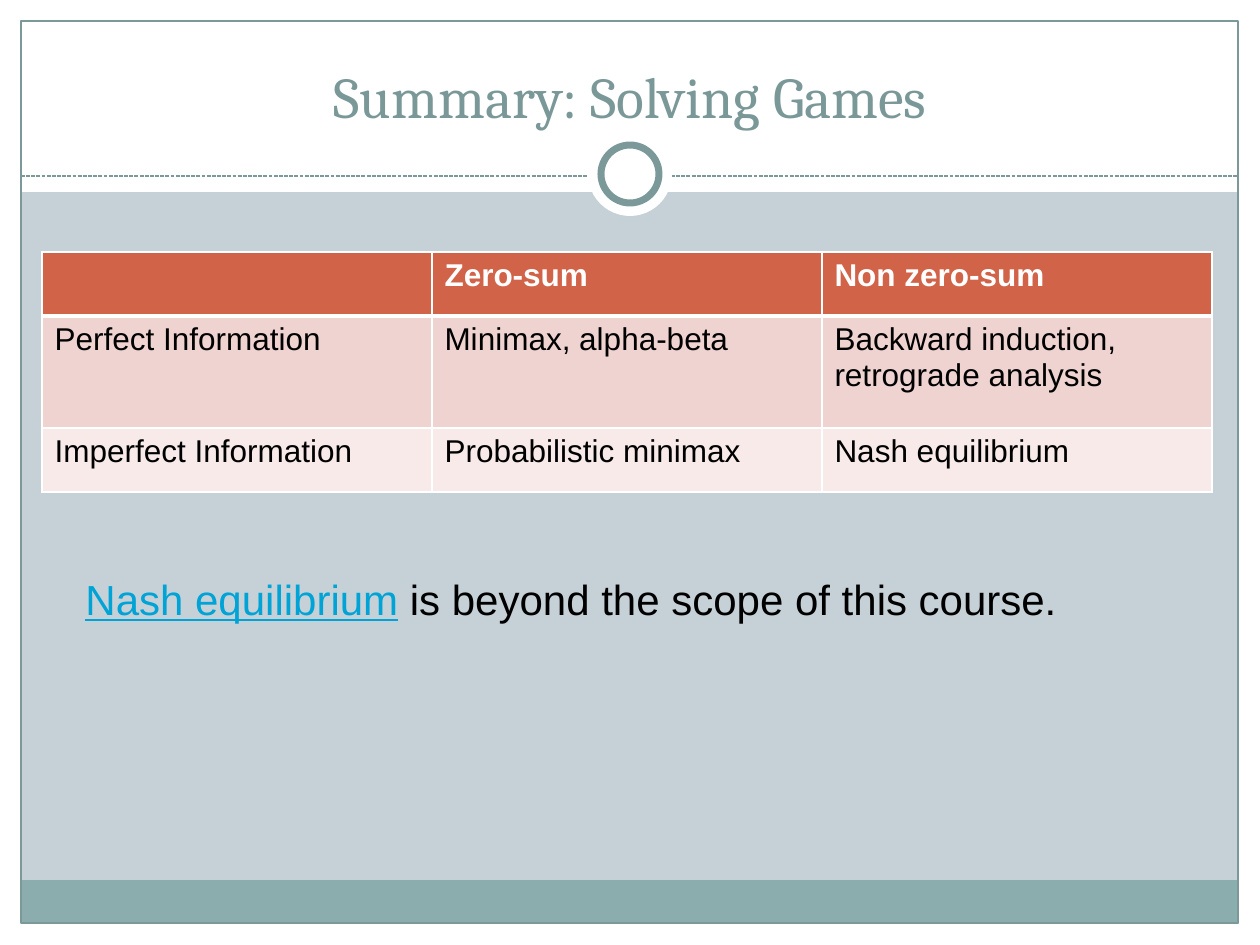
from dataclasses import dataclass

from lxml import etree
from pptx import Presentation
from pptx.dml.color import RGBColor
from pptx.enum.dml import MSO_LINE
from pptx.enum.shapes import MSO_CONNECTOR, MSO_SHAPE
from pptx.enum.text import MSO_ANCHOR, PP_ALIGN
from pptx.oxml.ns import qn
from pptx.util import Emu, Pt

RECT, OVAL = MSO_SHAPE.RECTANGLE, MSO_SHAPE.OVAL
STRAIGHT, DASH = MSO_CONNECTOR.STRAIGHT, MSO_LINE.SQUARE_DOT
TOP, BOTTOM = MSO_ANCHOR.TOP, MSO_ANCHOR.BOTTOM
LEFT, CENTER = PP_ALIGN.LEFT, PP_ALIGN.CENTER
SCALE = 914400 / 126  # EMU in one px
WIDE, HIGH = 1260, 945

COLORS = {
    "back": "C5D1D7", "white": "FFFFFF", "black": "000000",
    "foot": "8CADAE", "edge": "7C999A", "title": "7B9899",
    "head": "D16349", "odd": "EED3D0", "even": "F7EAE9", "link": "00A3D6",
}


@dataclass
class Part:
    left: int
    top: int
    width: int
    height: int
    fill: str = ""
    line: str = ""
    weight: float = 0.75
    kind: int = RECT


@dataclass
class Row:
    height: int
    fill: str
    cells: tuple[str, ...]


PARTS = [
    # White margins
    Part(0, 924, WIDE, 21, "white"),
    Part(0, 0, WIDE, 192, "white"),
    Part(0, 0, 21, HIGH, "white"),
    Part(1239, 0, 21, HIGH, "white"),
    # Footer band and frame
    Part(21, 880, 1217, 43, "foot"),
    Part(21, 21, 1217, 902, line="edge"),
]
RINGS = [
    Part(588, 132, 84, 84, "white", kind=OVAL),
    Part(601, 145, 58, 58, "white", "edge", 4, OVAL),
]
ROWS = [
    Row(64, "head", ("", "Zero-sum", "Non zero-sum")),
    Row(112, "odd", ("Perfect Information", "Minimax, alpha-beta",
                     "Backward induction, retrograde analysis")),
    Row(64, "even", ("Imperfect Information", "Probabilistic minimax",
                     "Nash equilibrium")),
]


def px(n: int) -> Emu:
    return Emu(round(n * SCALE))


def rgb(name: str) -> RGBColor:
    return RGBColor.from_string(COLORS[name])


def write(frame, *texts: str, size: float, colors: tuple[str, ...],
          face: str = "Arial", bold: bool = False, under: int = 0,
          align=LEFT, anchor=TOP) -> None:
    """Write one paragraph; the first `under` runs are underlined."""
    frame.word_wrap = True
    frame.vertical_anchor = anchor
    para = frame.paragraphs[0]
    para.alignment = align
    para.font.size = Pt(size)
    for i, (text, color) in enumerate(zip(texts, colors)):
        if not text:
            continue
        run = para.add_run()
        run.text = text
        font = run.font
        font.name, font.size, font.bold = face, Pt(size), bold
        font.underline = i < under
        font.color.rgb = rgb(color)


def draw(slide, part: Part) -> None:
    shape = slide.shapes.add_shape(part.kind, px(part.left), px(part.top),
                                   px(part.width), px(part.height))
    shape.shadow.inherit = False
    if part.fill:
        shape.fill.solid()
        shape.fill.fore_color.rgb = rgb(part.fill)
    else:
        shape.fill.background()
    if part.line:
        shape.line.color.rgb = rgb(part.line)
        shape.line.width = Pt(part.weight)
    else:
        shape.line.fill.background()


def rule(slide, left: int, right: int, y: int) -> None:
    line = slide.shapes.add_connector(STRAIGHT, px(left), px(y),
                                      px(right), px(y))
    line.line.color.rgb = rgb("edge")
    line.line.width = Pt(0.75)
    line.line.dash_style = DASH
    etree.SubElement(line._element.spPr, qn("a:effectLst"))


def border(cell, **widths: float) -> None:
    props = cell._tc.get_or_add_tcPr()
    for i, (side, width) in enumerate(widths.items()):
        line = etree.Element(qn(f"a:ln{side}"), w=str(Pt(width)))
        fill = etree.SubElement(line, qn("a:solidFill"))
        etree.SubElement(fill, qn("a:srgbClr"), val=COLORS["white"])
        props.insert(i, line)


def grid(slide, left: int, top: int, width: int, rows: list[Row]) -> None:
    count = len(rows[0].cells)
    high = sum(row.height for row in rows)
    table = slide.shapes.add_table(len(rows), count, px(left), px(top),
                                   px(width), px(high)).table
    table.first_row = table.horz_banding = False
    for col in table.columns:
        col.width = px(width // count)
    for r, row in enumerate(rows):
        table.rows[r].height = px(row.height)
        for c, text in enumerate(row.cells):
            cell = table.cell(r, c)
            cell.fill.solid()
            cell.fill.fore_color.rgb = rgb(row.fill)
            border(cell, L=1, R=1, T=3 if r == 1 else 1,
                   B=3 if r == 0 else 1)
            write(cell.text_frame, text, size=18, bold=r == 0,
                  colors=("black" if r else "white",))


def box(slide, left: int, top: int, width: int, height: int):
    return slide.shapes.add_textbox(px(left), px(top), px(width),
                                    px(height)).text_frame


def main() -> None:
    deck = Presentation()
    deck.slide_width, deck.slide_height = px(WIDE), px(HIGH)
    slide = deck.slides.add_slide(deck.slide_layouts[6])
    slide.background.fill.solid()
    slide.background.fill.fore_color.rgb = rgb("back")

    # Frame, dashed rule and ring
    for part in PARTS:
        draw(slide, part)
    rule(slide, 21, 1239, 176)
    for ring in RINGS:
        draw(slide, ring)

    # Title, table and closing note
    write(box(slide, 42, 32, 1176, 104), "Summary: Solving Games", size=33,
          colors=("title",), face="Cambria", align=CENTER, anchor=BOTTOM)
    grid(slide, 42, 252, 1172, ROWS)
    write(box(slide, 73, 567, 1092, 63), "Nash equilibrium",
          " is beyond the scope of this course.", size=24,
          colors=("link", "black"), under=1)

    deck.save("out.pptx")


if __name__ == "__main__":
    main()
